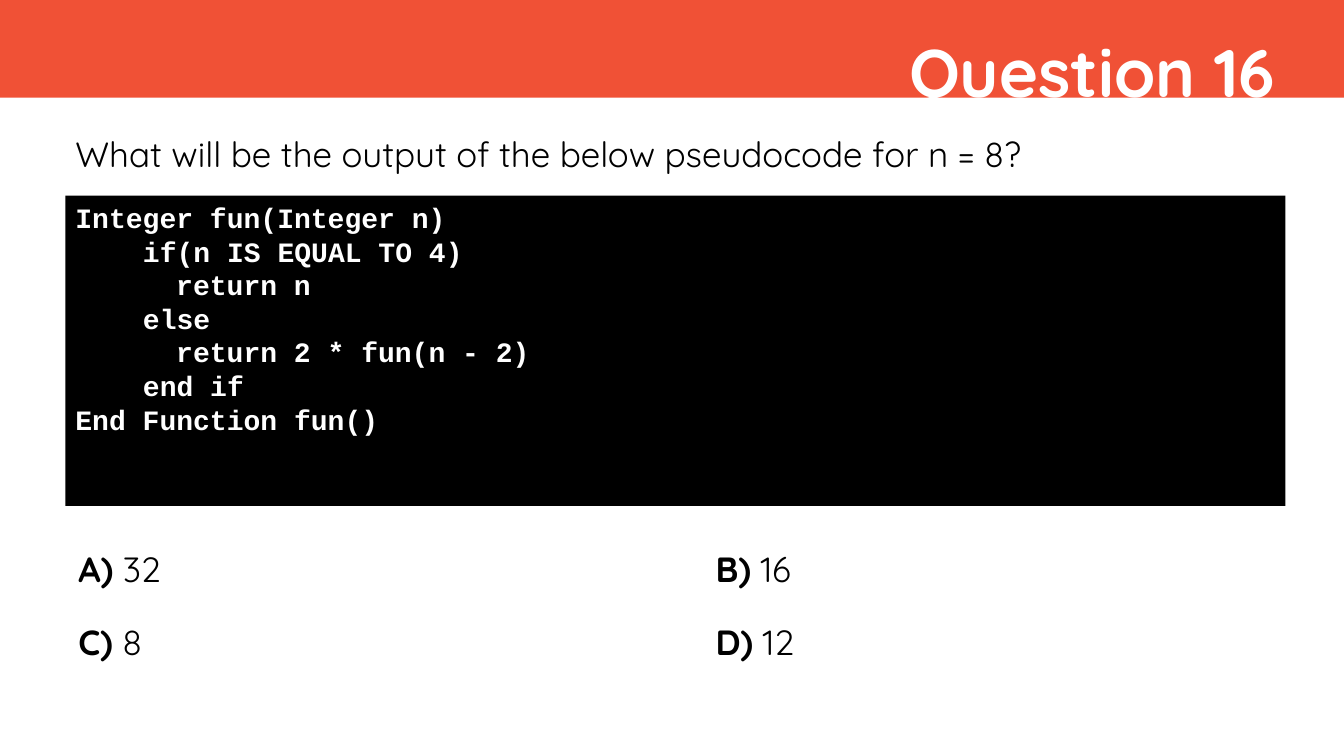
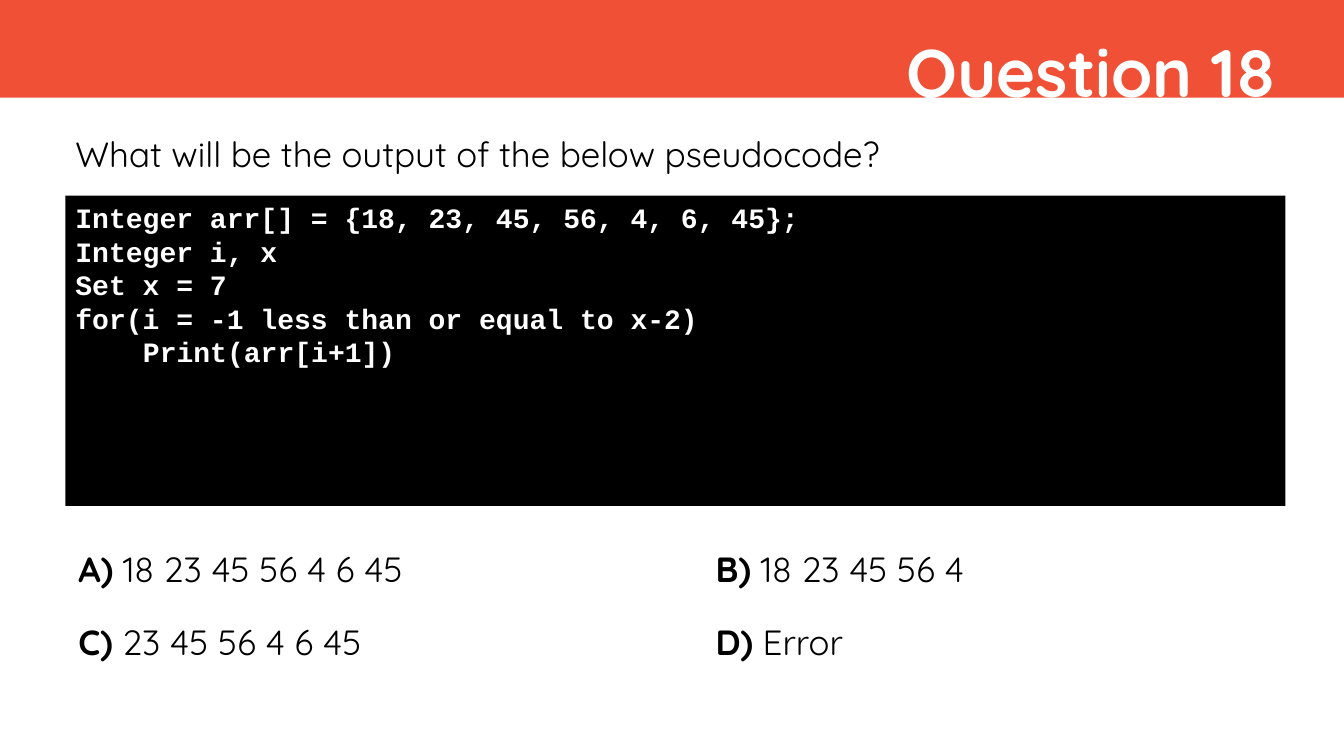
from pptx import Presentation
from pptx.dml.color import RGBColor
from pptx.enum.shapes import MSO_SHAPE
from pptx.enum.text import MSO_ANCHOR, MSO_AUTO_SIZE, PP_ALIGN
from pptx.util import Pt

RECTANGLE = MSO_SHAPE.RECTANGLE
TOP = MSO_ANCHOR.TOP
GROW = MSO_AUTO_SIZE.SHAPE_TO_FIT_TEXT
LEFT, RIGHT = PP_ALIGN.LEFT, PP_ALIGN.RIGHT

PX = 9144  # 100 px to the inch
PAGE_WIDTH, PAGE_HEIGHT = 1333, 750
ORANGE, BLACK, WHITE = "F05136", "000000", "FFFFFF"
BODY_FONT, CODE_FONT = "Quicksand", "Courier New"
BODY_SIZE, CODE_SIZE, TITLE_SIZE = 25, 20, 48

# Boxes as left, top, width, height
BAND_BOX = (0, 0, PAGE_WIDTH, 97)
TITLE_BOX = (425, 25, 850, 91)
PROMPT_BOX = (65, 127, 1198, 52)
CODE_BOX = (65, 194, 1210, 308)
OPTIONS_BOX = (68, 517, 1203, 146)
OPTION_WIDTH = 571
INDENTS = (0, 67, 100)  # code indent by level

# Code lines are (indent level, text)
QUESTIONS = [
    {
        "title": "Question 16",
        "prompt": "What will be the output of the below pseudocode for n = 8?",
        "code": [
            (0, "Integer fun(Integer n)"),
            (1, "if(n IS EQUAL TO 4)"),
            (2, "return n"),
            (1, "else"),
            (2, "return 2 * fun(n - 2)"),
            (1, "end if"),
            (0, "End Function fun()"),
        ],
        "options": ["32", "16", "8", "12"],
    },
    {
        "title": "Question 18",
        "prompt": "What will be the output of the below pseudocode?",
        "code": [
            (0, "Integer arr[] = {18, 23, 45, 56, 4, 6, 45};"),
            (0, "Integer i, x"),
            (0, "Set x = 7"),
            (0, "for(i = -1 less than or equal to x-2)"),
            (1, "Print(arr[i+1])"),
        ],
        "options": ["18 23 45 56 4 6 45", "18 23 45 56 4", "23 45 56 4 6 45", "Error"],
    },
]


def color(value):
    return RGBColor.from_string(value)


def emu(box):
    return [length * PX for length in box]


def style(paragraph, font_name, size, value, bold=False):
    font = paragraph.font
    font.name, font.size, font.bold = font_name, Pt(size), bold
    font.color.rgb = color(value)


def add_panel(page, box, fill):
    panel = page.shapes.add_shape(RECTANGLE, *emu(box))
    panel.shadow.inherit = False
    panel.fill.solid()
    panel.fill.fore_color.rgb = color(fill)
    panel.line.fill.background()
    return panel


def add_text(page, box, spans, size, value, bold=False, align=LEFT):
    """Add a one-paragraph text box and return its frame."""
    frame = page.shapes.add_textbox(*emu(box)).text_frame
    frame.word_wrap = True
    paragraph = frame.paragraphs[0]
    paragraph.alignment = align
    style(paragraph, BODY_FONT, size, value, bold)
    for text, span_bold in spans:
        span = paragraph.add_run()
        span.text = text
        span.font.bold = span_bold
    return frame


def add_header(page, title):
    add_panel(page, BAND_BOX, ORANGE)
    frame = add_text(page, TITLE_BOX, [(title, True)], TITLE_SIZE, WHITE, True, RIGHT)
    frame.auto_size = GROW


def add_prompt(page, box, prompt):
    add_text(page, box, [(prompt, False)], BODY_SIZE, BLACK).auto_size = GROW


def add_code(page, box, lines):
    frame = add_panel(page, box, BLACK).text_frame
    frame.word_wrap = True
    frame.vertical_anchor = TOP
    for index, (level, text) in enumerate(lines):
        paragraph = frame.add_paragraph() if index else frame.paragraphs[0]
        paragraph.text = text
        paragraph.alignment = LEFT
        style(paragraph, CODE_FONT, CODE_SIZE, WHITE, True)
        paragraph._p.get_or_add_pPr().set("marL", str(INDENTS[level] * PX))


def add_options(page, box, options):
    """Lay the answers out in two columns, row by row."""
    left, top, width, height = box
    row_height = height // 2
    for index, (letter, answer) in enumerate(zip("ABCD", options)):
        row, column = divmod(index, 2)
        cell = (left + column * (width - OPTION_WIDTH), top + row * row_height,
                OPTION_WIDTH, row_height)
        spans = [(f"{letter})", True), (f" {answer}", False)]
        frame = add_text(page, cell, spans, BODY_SIZE, BLACK)
        frame.paragraphs[0].line_spacing = 1.5


def add_question(deck, question):
    page = deck.slides.add_slide(deck.slide_layouts[6])
    add_header(page, question["title"])
    add_prompt(page, PROMPT_BOX, question["prompt"])
    add_code(page, CODE_BOX, question["code"])
    add_options(page, OPTIONS_BOX, question["options"])


def main():
    deck = Presentation()
    deck.slide_width, deck.slide_height = emu((PAGE_WIDTH, PAGE_HEIGHT))
    for question in QUESTIONS:
        add_question(deck, question)
    deck.save("out.pptx")


if __name__ == "__main__":
    main()
